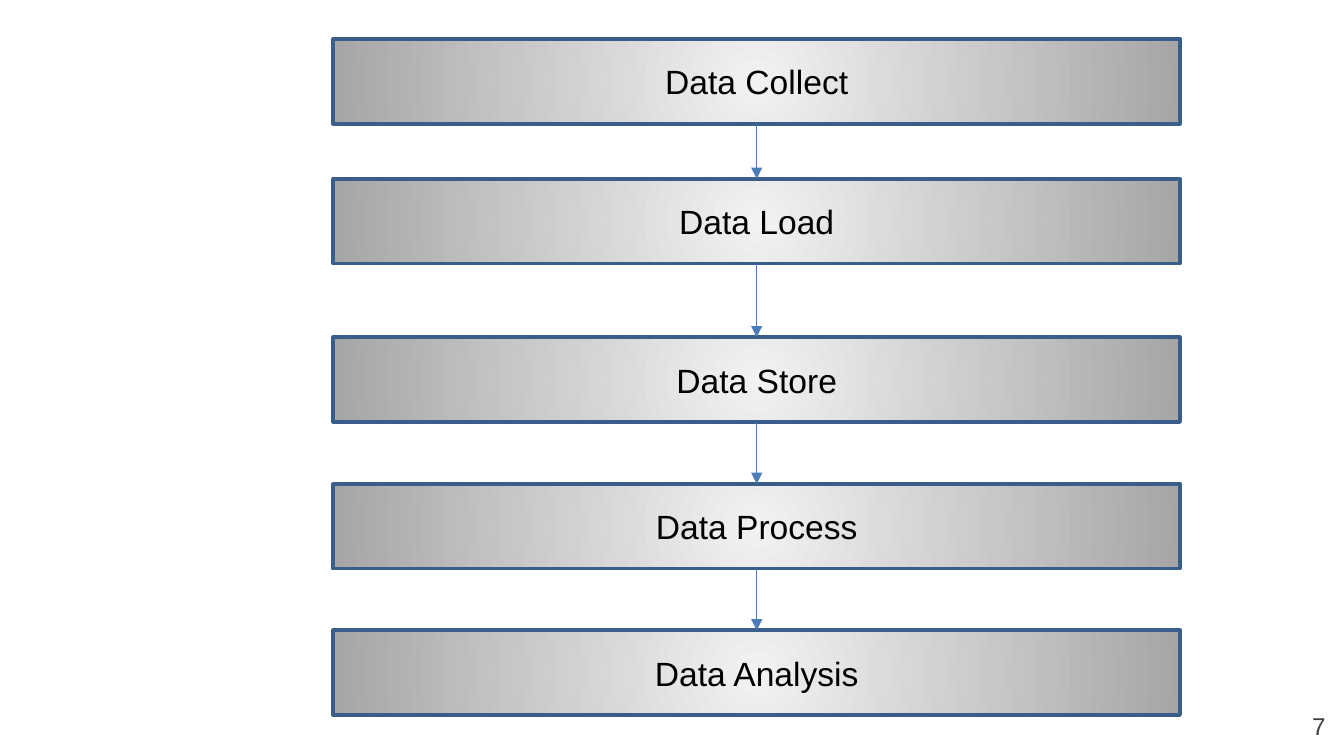
from itertools import pairwise

from lxml import etree
from pptx import Presentation
from pptx import util as u
from pptx.dml.color import RGBColor
from pptx.enum import shapes, text
from pptx.oxml import ns

HUES = {
    "core": "F2F2F2",
    "rim": "A6A6A6",
    "edge": "395E89",
    "arrow": "4A7DBA",
    "label": "000000",
    "page": "3F3F3F",
}


def hue(name):
    return RGBColor.from_string(HUES[name])


class Deck:
    """Holds the style and the current slide."""

    font = "Arial"

    def __init__(self, wide, high):
        self.prs = Presentation()
        self.prs.slide_width, self.prs.slide_height = u.Pt(wide), u.Pt(high)
        self.slide = self.prs.slides.add_slide(self.prs.slide_layouts[6])

    def label(self, frame, words, size, color, align):
        frame.word_wrap = True
        frame.text = words
        para = frame.paragraphs[0]
        para.alignment = align
        font = para.runs[0].font
        font.name, font.size = self.font, u.Pt(size)
        font.color.rgb = hue(color)

    def glow(self, box):
        """Fill with a gradient that spreads from the centre."""
        box.fill.gradient()
        for stop, name in zip(box.fill.gradient_stops, ("core", "rim")):
            stop.color.rgb = hue(name)
        lin = box.element.spPr.find(".//" + ns.qn("a:lin"))
        grad = lin.getparent()
        grad.remove(lin)
        ring = etree.SubElement(grad, ns.qn("a:path"), {"path": "circle"})
        half = dict.fromkeys("ltrb", "50000")
        etree.SubElement(ring, ns.qn("a:fillToRect"), half)

    def box(self, words, left, top, wide, high):
        box = self.slide.shapes.add_shape(
            shapes.MSO_SHAPE.RECTANGLE,
            u.Pt(left), u.Pt(top), u.Pt(wide), u.Pt(high))
        box.shadow.inherit = False
        self.glow(box)
        box.line.color.rgb = hue("edge")
        box.line.width = u.Pt(2)
        box.text_frame.vertical_anchor = text.MSO_ANCHOR.MIDDLE
        self.label(box.text_frame, words, 18, "label", text.PP_ALIGN.CENTER)
        return box

    def arrow(self, start, end):
        """Join the bottom of one box to the top of the next."""
        link = self.slide.shapes.add_connector(
            shapes.MSO_CONNECTOR.STRAIGHT, 0, 0, 0, 0)
        link.begin_connect(start, 2)
        link.end_connect(end, 0)
        link.line.color.rgb = hue("arrow")
        link.line.width = u.Pt(0.75)
        props = link.element.spPr
        etree.SubElement(props.find(ns.qn("a:ln")), ns.qn("a:tailEnd"),
                         {"type": "triangle"})
        etree.SubElement(props, ns.qn("a:effectLst"))

    def page(self, words, left, top, wide, high):
        frame = self.slide.shapes.add_textbox(
            u.Pt(left), u.Pt(top), u.Pt(wide), u.Pt(high)).text_frame
        frame.margin_left = frame.margin_right = u.Pt(7.2)
        frame.margin_top = frame.margin_bottom = u.Pt(7.2)
        self.label(frame, words, 13, "page", text.PP_ALIGN.RIGHT)


def main():
    deck = Deck(720, 405)

    # Steps, with their tops
    steps = {
        "Data Collect": 20.9,
        "Data Load": 95.8,
        "Data Store": 180.7,
        "Data Process": 259.2,
        "Data Analysis": 337.7,
    }
    boxes = [deck.box(words, 178.6, top, 453.6, 45.4)
             for words, top in steps.items()]

    # Arrows between neighbours
    for start, end in pairwise(boxes):
        deck.arrow(start, end)

    # Page number
    deck.page("7", 674, 373.7, 43.2, 31)

    deck.prs.save("out.pptx")


if __name__ == "__main__":
    main()
